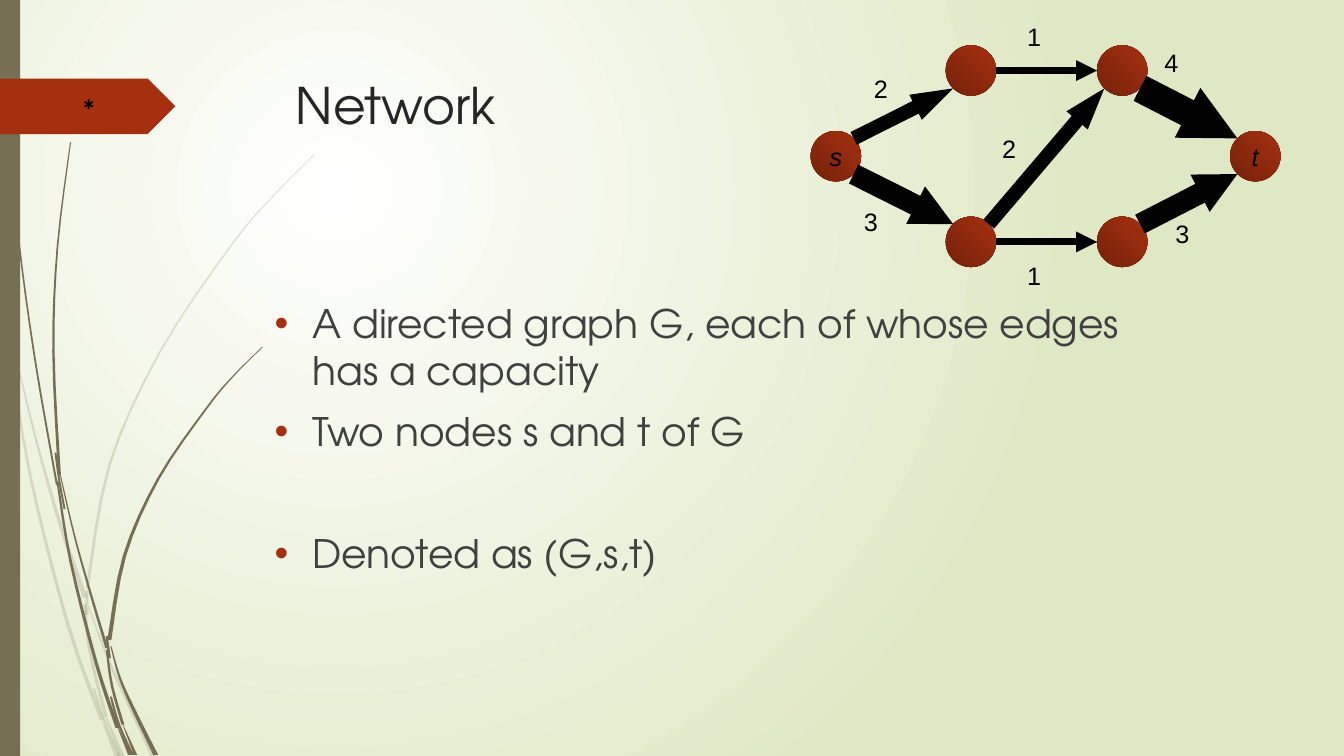
import math

import pptx
import pptx.dml.color
import pptx.enum.shapes
import pptx.enum.text
import pptx.oxml
import pptx.oxml.ns
import pptx.util

RGBColor = pptx.dml.color.RGBColor
WHITE = RGBColor(0xFF, 0xFF, 0xFF)
PALE_GREEN = RGBColor(0xDF, 0xE8, 0xC4)
OLIVE = RGBColor(0x76, 0x6F, 0x54)
RED = RGBColor(0xA5, 0x30, 0x10)
DARK_RED = RGBColor(0x76, 0x22, 0x0B)
BLACK = RGBColor(0, 0, 0)
TITLE_GREY = RGBColor(0x26, 0x26, 0x26)
BODY_GREY = RGBColor(0x40, 0x40, 0x40)
HEADING_FONT = "TeX Gyre Adventor"
LABEL_FONT = "Arial"
NAMESPACE = pptx.oxml.ns.nsdecls("a")
SHAPES = pptx.enum.shapes.MSO_SHAPE

presentation = pptx.Presentation()
presentation.slide_width = pptx.util.Inches(13.33)
presentation.slide_height = pptx.util.Inches(7.5)
slide = presentation.slides.add_slide(presentation.slide_layouts[6])

# Grid of square cells, 75 rows to the slide's height
ROWS = 75
CELL = presentation.slide_height // ROWS


def grid(*cells):
    return [round(cell * CELL) for cell in cells]


def add_run(paragraph, text, size, font, color, italic=False):
    run = paragraph.add_run()
    run.text = text
    run.font.size = pptx.util.Pt(size)
    run.font.name = font
    run.font.color.rgb = color
    run.font.italic = italic


# Background: light spot fading outwards
fill = slide.background.fill
fill.gradient()
for stop, color in zip(fill.gradient_stops, (WHITE, PALE_GREEN)):
    stop.color.rgb = color
gradient = slide.element.find(".//" + pptx.oxml.ns.qn("a:gradFill"))
gradient.remove(gradient.find(pptx.oxml.ns.qn("a:lin")))
gradient.append(pptx.oxml.parse_xml(
    f'<a:path {NAMESPACE} path="circle"><a:fillToRect l="50000" t="50000" '
    'r="100000" b="100000"/></a:path>'))

# Grass blades: points from tip to root, then widths at tip and root
faint_blades = [
    ([(0, 29), (0.55, 32), (1.05, 35)], 0.3, 0.1),
    ([(1.5, 35), (3.6, 43.7), (6, 52.1), (8.45, 59.3)], 0.1, 0.5),
    ([(8.8, 60.2), (10.7, 65.3), (12.5, 69.3), (15.25, 75.1)], 0.1, 0.5),
    ([(10.5, 71.1), (12.15, 75.1)], 0.05, 0.5),
    ([(1.1, 35), (2.95, 46.95), (6.75, 62), (10.1, 71.4)], 0.2, 0.4),
    ([(8.4, 59.9), (8.9, 64.6), (10.5, 71.1)], 0.3, 0.3),
    ([(31.2, 15.3), (26.8, 19.75), (22.85, 24.45), (15.9, 34.85),
      (10.85, 46.15), (8.65, 58.4)], 0.1, 0.3),
    ([(10.1, 71.4), (11.65, 75.1)], 0.05, 0.5),
    ([(8.65, 58.6), (8.6, 61)], 0.2, 0.4),
    ([(9.3, 68.3), (10.3, 71.3), (11.9, 75.1)], 0.2, 0.2),
]
dark_blades = [
    ([(0.35, 0), (0.75, 11), (1.8, 23.25), (3.45, 35.5), (5.65, 48.1)], 0.1, 0.2),
    ([(6, 47.2), (7.4, 53.2), (9.05, 59.1), (10.6, 64.3)], 0.1, 0.3),
    ([(11, 64.1), (11.9, 67.3), (13.4, 70.7), (15.45, 74.9)], 0.1, 0.5),
    ([(5.7, 47.7), (7, 55.65), (9.55, 65.8), (11.65, 72.2)], 0.2, 0.4),
    ([(7, 14.1), (5.7, 24.5), (5.3, 34.9), (5.9, 47.2)], 0.1, 0.3),
    ([(12.2, 71.9), (13.45, 74.9)], 0.05, 0.35),
    ([(5.5, 44.9), (5.85, 47.5), (6.4, 50.5)], 0.2, 0.2),
    ([(26.05, 34.4), (23.1, 37.35), (20.45, 40.55), (15.7, 47.5),
      (12.35, 55.15), (10.85, 63.5)], 0.1, 0.4),
    ([(11.7, 72.2), (12.9, 74.9)], 0.05, 0.4),
    ([(10.6, 64.5), (11.1, 68), (12.2, 71.9)], 0.2, 0.3),
    ([(10.6, 63.1), (10.85, 65.3)], 0.2, 0.3),
    ([(11, 69.1), (11.8, 71.9), (13.15, 74.9)], 0.2, 0.3),
]
STEPS = 4
for opacity, blades in ((20, faint_blades), (100, dark_blades)):
    for points, tip_width, root_width in blades:
        # Smooth curve through the points
        padded = [points[0], *points, points[-1]]
        curve = []
        for a, b, c, d in zip(padded, padded[1:], padded[2:], padded[3:]):
            for step in range(STEPS):
                t = step / STEPS
                curve.append([
                    (2 * q + (r - p) * t + (2 * p - 5 * q + 4 * r - s) * t ** 2
                     + (3 * q - p - 3 * r + s) * t ** 3) / 2
                    for p, q, r, s in zip(a, b, c, d)])
        curve.append(points[-1])
        # Taper the curve to both sides
        left, right = [], []
        for index, (x, y) in enumerate(curve):
            share = index / (len(curve) - 1)
            half = (tip_width + (root_width - tip_width) * share) / 2
            left.append(grid(x - half, y))
            right.append(grid(x + half, y))
        outline = left + right[::-1]
        builder = slide.shapes.build_freeform(*outline[0])
        builder.add_line_segments(outline[1:], close=True)
        blade = builder.convert_to_shape()
        blade.shadow.inherit = False
        blade.fill.solid()
        blade.fill.fore_color.rgb = OLIVE
        blade.line.fill.background()
        if opacity < 100:
            blade.element.spPr.find(".//" + pptx.oxml.ns.qn("a:srgbClr")).append(
                pptx.oxml.parse_xml(f'<a:alpha {NAMESPACE} val="{opacity * 1000}"/>'))

# Side bar and number tag
for kind, box, color in (
        (SHAPES.RECTANGLE, (0, 0, 2, ROWS), OLIVE),
        (SHAPES.PENTAGON, (0, 7.8, 17.4, 5.5), RED)):
    shape = slide.shapes.add_shape(kind, *grid(*box))
    shape.shadow.inherit = False
    shape.fill.solid()
    shape.fill.fore_color.rgb = color
    shape.line.fill.background()

# Title
title = slide.shapes.add_textbox(*grid(28.35, 6.9, 97.5, 14))
title.text_frame.word_wrap = True
add_run(title.text_frame.paragraphs[0], "Network", 36, HEADING_FONT, TITLE_GREY)

# Bulleted body
body = slide.shapes.add_textbox(*grid(26.25, 29.2, 87.8, 40.4))
body.text_frame.word_wrap = True
bullets = [
    ("A directed graph G, each of whose edges has a capacity", 10),
    ("Two nodes s and t of G", 10),
    ("Denoted as (G,s,t)", 53.5),
]
for index, (text, space) in enumerate(bullets):
    frame = body.text_frame
    paragraph = frame.add_paragraph() if index else frame.paragraphs[0]
    paragraph.space_before = pptx.util.Pt(space)
    properties = paragraph._p.get_or_add_pPr()
    indent = grid(3.75)[0]
    properties.set("marL", str(indent))
    properties.set("indent", str(-indent))
    for markup in (f'<a:buClr {NAMESPACE}><a:srgbClr val="{RED}"/></a:buClr>',
                   f'<a:buFont {NAMESPACE} typeface="{LABEL_FONT}"/>',
                   f'<a:buChar {NAMESPACE} char="•"/>'):
        properties.append(pptx.oxml.parse_xml(markup))
    add_run(paragraph, text, 28, HEADING_FONT, BODY_GREY)

# Network nodes, by centre
RADIUS = 2.5
nodes = {
    "s": (82.9, 15.5), "t": (124.5, 15.5),
    "top left": (96.3, 7), "top right": (111.3, 7),
    "bottom left": (96.3, 24), "bottom right": (111.3, 24),
}
for name, (x, y) in nodes.items():
    node = slide.shapes.add_shape(
        SHAPES.OVAL, *grid(x - RADIUS, y - RADIUS, 2 * RADIUS, 2 * RADIUS))
    node.shadow.inherit = False
    node.line.fill.background()
    node.fill.gradient()
    node.fill.gradient_angle = 45
    for stop, color in zip(node.fill.gradient_stops, (DARK_RED, RED)):
        stop.color.rgb = color
    if name in ("s", "t"):
        node.text_frame.word_wrap = False
        node.text_frame.vertical_anchor = pptx.enum.text.MSO_ANCHOR.MIDDLE
        paragraph = node.text_frame.paragraphs[0]
        paragraph.alignment = pptx.enum.text.PP_ALIGN.CENTER
        add_run(paragraph, name, 18, LABEL_FONT, BLACK, italic=True)

# Network edges: line width is five points per unit of capacity
edges = [
    ("top left", "top right", 1), ("s", "top left", 2), ("s", "bottom left", 3),
    ("bottom left", "top right", 2), ("top right", "t", 4),
    ("bottom left", "bottom right", 1), ("bottom right", "t", 3),
]
for source, target, capacity in edges:
    (x1, y1), (x2, y2) = nodes[source], nodes[target]
    dx = RADIUS if y1 == y2 else RADIUS * math.sqrt(0.5)
    dy = 0 if y1 == y2 else math.copysign(dx, y2 - y1)
    edge = slide.shapes.add_connector(
        pptx.enum.shapes.MSO_CONNECTOR.STRAIGHT,
        *grid(x1 + dx, y1 + dy, x2 - dx, y2 - dy))
    edge.line.color.rgb = BLACK
    edge.line.width = pptx.util.Pt(5 * capacity)
    # Thicker edges carry relatively smaller arrowheads
    head_width = "sm" if capacity > 1 else "med"
    head_length = "sm" if capacity > 2 else "med"
    edge.line._get_or_add_ln().append(pptx.oxml.parse_xml(
        f'<a:tailEnd {NAMESPACE} type="triangle" w="{head_width}" len="{head_length}"/>'))
    edge.element.spPr.append(pptx.oxml.parse_xml(f"<a:effectLst {NAMESPACE}/>"))

# Tag mark and capacity labels
labels = [
    ("*", 7.3, 8.8, HEADING_FONT),
    ("3", 84.7, 20, LABEL_FONT), ("1", 100.9, 25.3, LABEL_FONT),
    ("1", 100.9, 1.6, LABEL_FONT), ("4", 114.5, 4.2, LABEL_FONT),
    ("3", 115.6, 21.2, LABEL_FONT), ("2", 98.4, 12.7, LABEL_FONT),
    ("2", 85.7, 6.8, LABEL_FONT),
]
for text, x, y, font in labels:
    label = slide.shapes.add_textbox(*grid(x, y, 3.4, 4))
    label.text_frame.word_wrap = False
    add_run(label.text_frame.paragraphs[0], text, 18, font, BLACK)

presentation.save("out.pptx")
